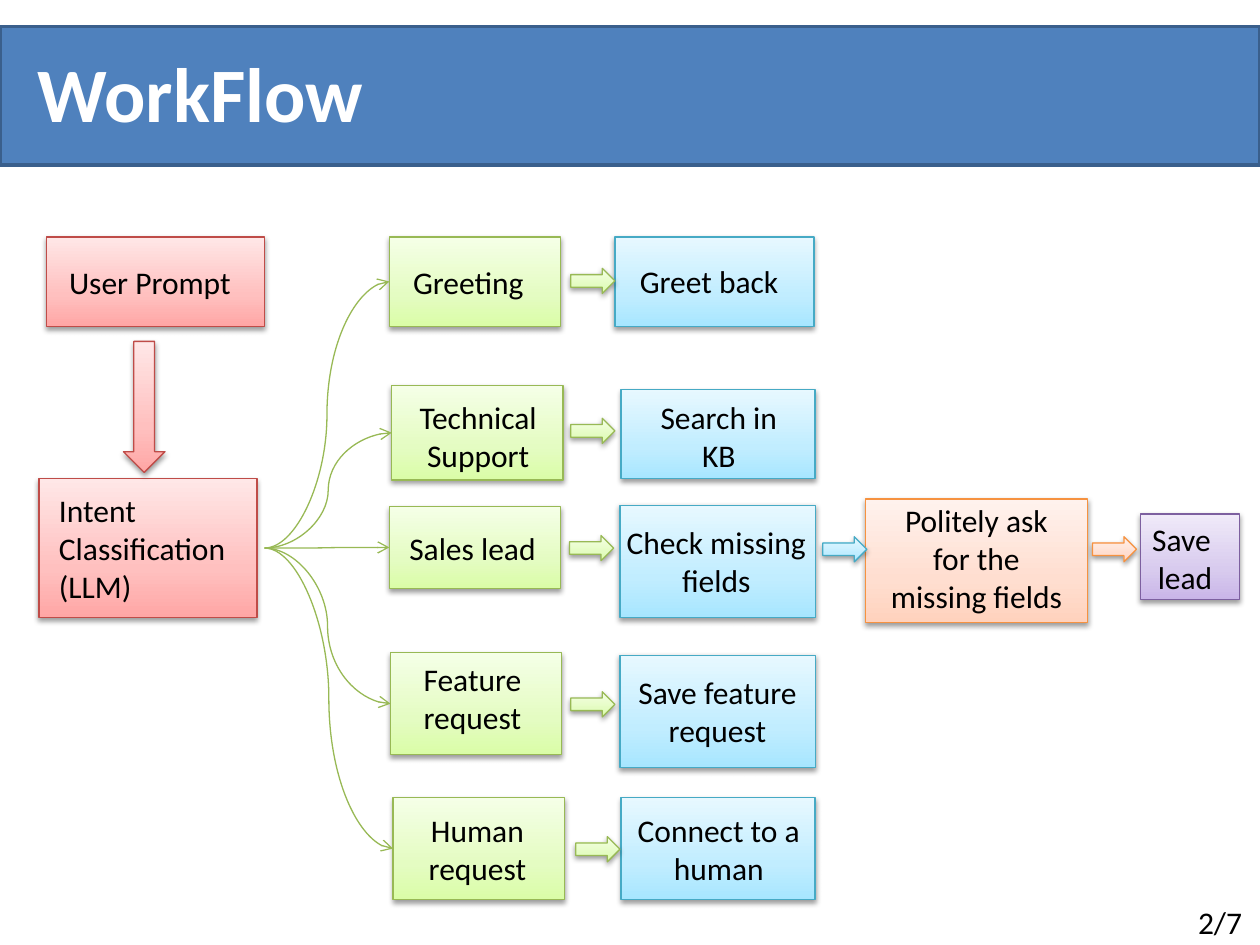
import pptx
import pptx.util
import pptx.dml.color
import pptx.enum.shapes
import pptx.enum.text
import pptx.oxml.ns
import lxml.etree

Inches, Pt = pptx.util.Inches, pptx.util.Pt
qn = pptx.oxml.ns.qn
Form = pptx.enum.shapes.MSO_SHAPE
Align = pptx.enum.text.PP_ALIGN

# Line colour, then gradient stops from bottom to top
HUES = {
    "red": ("BF4C48", "FFA6A5", "FFC0BF", "FFE7E7"),
    "green": ("98B955", "DAFDA7", "E4FCC2", "F5FFE7"),
    "blue": ("46AAC5", "A7E6FF", "C1EDFF", "E7F8FF"),
    "orange": ("F69240", "FFD2BD", "FFDED0", "FFF2ED"),
    "purple": ("7D60A0", "C9B5E8", "D8CBEE", "F0EAF9"),
}
STOPS = (0, 35, 100)

# Hue, box, text, text box, centred
NODES = [
    ("red", (0.37, 1.88, 1.73, 0.71), "User Prompt", (0.45, 2.04, 1.73, 0.4), False),
    ("red", (0.31, 3.8, 1.73, 1.1), "Intent Classification (LLM)", (0.37, 3.85, 1.73, 1.01), False),
    ("green", (3.09, 1.88, 1.36, 0.71), "Greeting", (3.18, 2.04, 1.73, 0.4), False),
    ("green", (3.11, 3.06, 1.36, 0.75), "Technical Support", (2.97, 3.11, 1.65, 0.71), True),
    ("green", (3.09, 4.02, 1.36, 0.65), "Sales lead", (3.15, 4.15, 1.73, 0.4), False),
    ("green", (3.1, 5.18, 1.36, 0.81), "Feature request", (3.2, 5.19, 1.1, 0.71), True),
    ("green", (3.12, 6.33, 1.36, 0.81), "Human request", (3.16, 6.39, 1.26, 0.71), True),
    ("blue", (4.88, 1.88, 1.58, 0.71), "Greet back", (4.98, 2.03, 1.73, 0.4), False),
    ("blue", (4.93, 3.09, 1.54, 0.71), "Search in KB", (5.04, 3.11, 1.33, 0.71), True),
    ("blue", (4.92, 4.01, 1.55, 0.89), "Check missing fields", (4.82, 4.1, 1.73, 0.71), True),
    ("blue", (4.92, 5.2, 1.55, 0.89), "Save feature request", (4.83, 5.29, 1.73, 0.71), True),
    ("blue", (4.93, 6.33, 1.54, 0.81), "Connect to a human", (4.84, 6.39, 1.73, 0.71), True),
    ("orange", (6.87, 3.96, 1.76, 0.98), "Politely ask for the missing fields",
     (6.93, 3.93, 1.64, 1.01), True),
    ("purple", (9.05, 4.08, 0.79, 0.68), "Save \nlead", (8.54, 4.08, 1.73, 0.71), True),
]

# Hue, left, top of the small arrows
STEPS = [
    ("green", 4.53, 2.13), ("green", 4.53, 3.32), ("green", 4.52, 4.25),
    ("green", 4.53, 5.49), ("green", 4.57, 6.64),
    ("blue", 6.53, 4.26), ("orange", 8.67, 4.26),
]
FORK = (2.1, 4.35)


def rgb(code):
    return pptx.dml.color.RGBColor.from_string(code)


def add(parent, tag, **attrs):
    values = {key: str(val) for key, val in attrs.items()}
    return lxml.etree.SubElement(parent, qn(tag), values)


def write(frame, text, size=18, color="000000", bold=False, align=Align.LEFT):
    frame.word_wrap = True
    frame.text = text
    for para in frame.paragraphs:
        para.alignment = align
        for run in para.runs:
            run.font.name = "Calibri"
            run.font.size = Pt(size)
            run.font.bold = bold
            run.font.color.rgb = rgb(color)


class Chart:
    """Holds the line style and the current slide."""

    def __init__(self, slide, width=0.75):
        self.slide = slide
        self.shapes = slide.shapes
        self.width = width

    def banner(self, area, fill, edge):
        bar = self.shapes.add_shape(Form.RECTANGLE, *map(Inches, area))
        bar.shadow.inherit = False
        bar.fill.solid()
        bar.fill.fore_color.rgb = rgb(fill)
        bar.line.color.rgb = rgb(edge)
        bar.line.width = Pt(2)

    def title(self, text, area):
        head = self.shapes.title
        head.left, head.top, head.width, head.height = map(Inches, area)
        write(head.text_frame, text, size=44, color="FFFFFF", bold=True)
        head.text_frame.vertical_anchor = pptx.enum.text.MSO_ANCHOR.MIDDLE
        # Bring the title in front of the banner
        head.element.getparent().append(head.element)

    def block(self, form, area, hue):
        edge, *tints = HUES[hue]
        shape = self.shapes.add_shape(form, *map(Inches, area))
        shape.line.color.rgb = rgb(edge)
        shape.line.width = Pt(self.width)
        # Three-stop gradient
        shape.fill.gradient()
        shape.fill.gradient_angle = 90
        props = shape.element.spPr
        stops = props.find(".//" + qn("a:gsLst"))
        for old in list(stops):
            stops.remove(old)
        for pos, tint in zip(STOPS, tints):
            add(add(stops, "a:gs", pos=pos * 1000), "a:srgbClr", val=tint)
        # Soft shadow below
        shape.shadow.inherit = False
        shade = add(props.find(qn("a:effectLst")), "a:outerShdw", blurRad=Pt(3.1),
                    dist=Pt(1.6), dir=5400000, rotWithShape=0)
        add(add(shade, "a:srgbClr", val="000000"), "a:alpha", val=38000)
        return shape

    def label(self, text, area, align=Align.LEFT):
        frame = self.shapes.add_textbox(*map(Inches, area)).text_frame
        write(frame, text, align=align)
        frame.auto_size = pptx.enum.text.MSO_AUTO_SIZE.SHAPE_TO_FIT_TEXT

    def branch(self, start, box, hue):
        x, y = map(Inches, start)
        link = self.shapes.add_connector(pptx.enum.shapes.MSO_CONNECTOR.CURVE, x, y,
                                         box.left, box.top + box.height // 2)
        link.end_connect(box, 1)
        link.line.color.rgb = rgb(HUES[hue][0])
        link.line.width = Pt(self.width)
        props = link.element.spPr
        add(props.find(qn("a:ln")), "a:tailEnd", type="arrow")
        add(props, "a:effectLst")


def main():
    deck = pptx.Presentation()
    deck.slide_width, deck.slide_height = Inches(10), Inches(7.5)
    slide = deck.slides.add_slide(deck.slide_layouts[0])
    sub = slide.placeholders[1].element
    sub.getparent().remove(sub)
    chart = Chart(slide)

    # Boxes
    boxes = [chart.block(Form.RECTANGLE, area, hue) for hue, area, *_ in NODES]

    # Header
    chart.banner((0, 0.21, 10, 1.1), "4F81BD", "3A5F8C")
    chart.title("WorkFlow", (0.2, 0.21, 9.8, 1.04))

    # Box texts
    for _, _, text, area, mid in NODES:
        chart.label(text, area, Align.CENTER if mid else Align.LEFT)

    # Branches to each intent
    for node, box in zip(NODES, boxes):
        if node[0] == "green":
            chart.branch(FORK, box, "green")

    # Block arrows
    chart.block(Form.DOWN_ARROW, (0.98, 2.71, 0.33, 1.04), "red")
    for hue, left, top in STEPS:
        chart.block(Form.RIGHT_ARROW, (left, top, 0.35, 0.2), hue)

    # Page number
    chart.label("2/7", (9.41, 7.12, 0.59, 0.4))
    deck.save("out.pptx")


if __name__ == "__main__":
    main()
